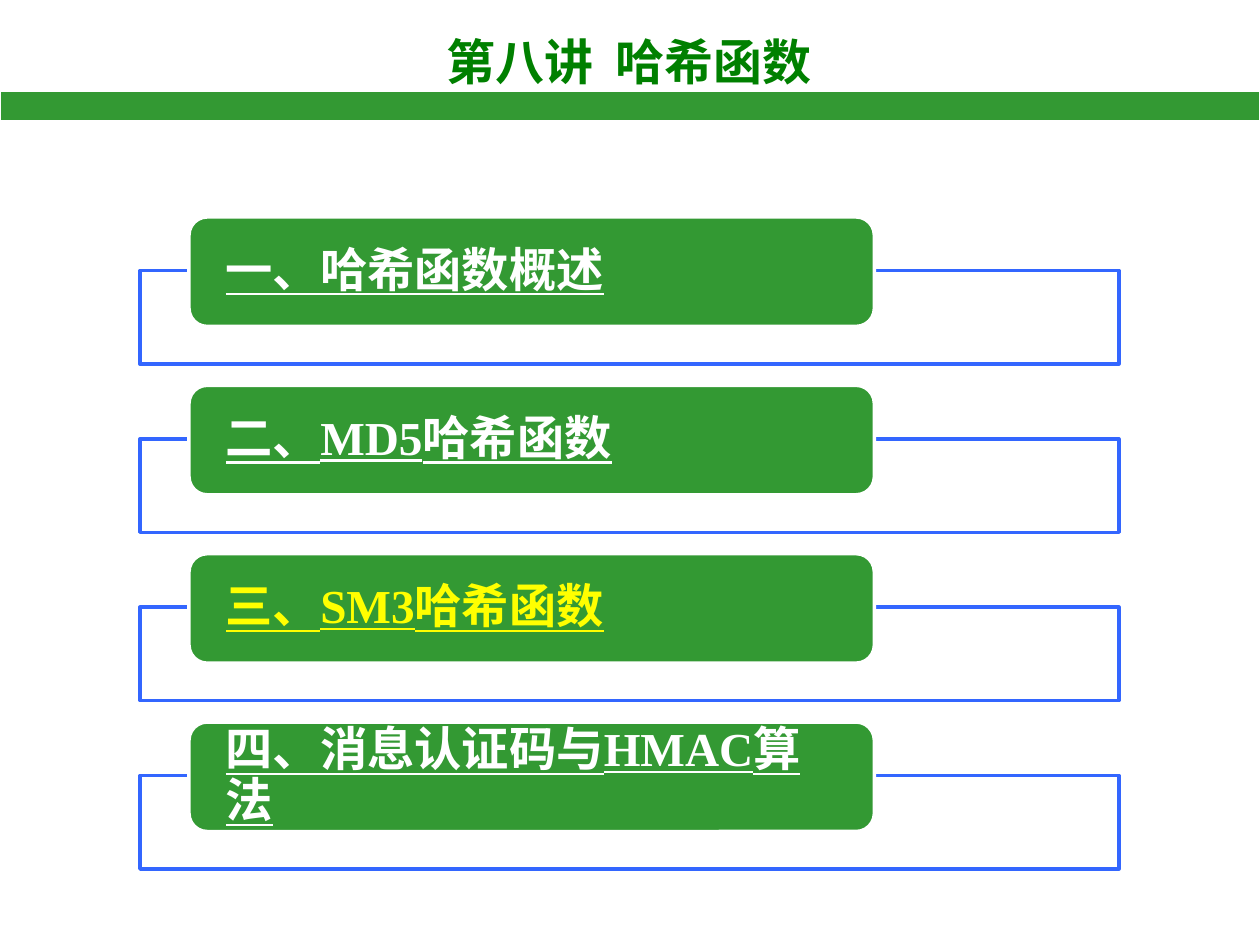
"""Build the agenda slide of a lecture on hash functions."""
from dataclasses import dataclass

from lxml import etree
from pptx import Presentation
from pptx.dml.color import RGBColor
from pptx.enum.shapes import MSO_SHAPE
from pptx.enum.text import MSO_ANCHOR, PP_ALIGN
from pptx.oxml.ns import qn
from pptx.util import Pt

RECT = MSO_SHAPE.RECTANGLE
ROUND = MSO_SHAPE.ROUNDED_RECTANGLE
MIDDLE = MSO_ANCHOR.MIDDLE
LEFT = PP_ALIGN.LEFT
CENTER = PP_ALIGN.CENTER


@dataclass(frozen=True)
class Theme:
    """Colours, fonts and type sizes."""
    green: str = "339933"
    title: str = "008000"
    blue: str = "3366FF"
    white: str = "FFFFFF"
    yellow: str = "FFFF00"
    latin: str = "Times New Roman"
    asian: str = "Noto Sans CJK SC"
    head: float = 28
    item: float = 27


@dataclass(frozen=True)
class Box:
    """A place on the slide, in points."""
    left: float
    top: float
    width: float
    height: float

    def down(self, step: float) -> "Box":
        """Return the box moved down by a step."""
        return Box(self.left, self.top + step, self.width, self.height)

    def sides(self) -> tuple:
        """Return the four lengths for a shape."""
        return Pt(self.left), Pt(self.top), Pt(self.width), Pt(self.height)


@dataclass(frozen=True)
class Topic:
    """One agenda entry."""
    text: str
    color: str


THEME = Theme()
TITLE = Box(178.5, 14.4, 362, 41)
BAND = Box(0, 52, 720, 17)
FRAME = Box(80, 154.6, 559.4, 53.4)
LABEL = Box(108, 124, 391.7, 62.6)
PITCH = 96.2
TOPICS = (
    Topic("一、哈希函数概述", THEME.white),
    Topic("二、MD5哈希函数", THEME.white),
    Topic("三、SM3哈希函数", THEME.yellow),
    Topic("四、消息认证码与HMAC算法", THEME.white),
)


def add_box(slide, kind, box: Box, fill: str, line: str, width: float):
    """Add a filled and outlined shape."""
    shape = slide.shapes.add_shape(kind, *box.sides())
    shape.shadow.inherit = False
    shape.fill.solid()
    shape.fill.fore_color.rgb = RGBColor.from_string(fill)
    shape.line.color.rgb = RGBColor.from_string(line)
    shape.line.width = Pt(width)
    return shape


def add_run(para, text: str, size: float, color: str, latin: str):
    """Add a bold run with Latin and East Asian fonts."""
    run = para.add_run()
    run.text = text
    font = run.font
    font.size, font.bold, font.name = Pt(size), True, latin
    font.color.rgb = RGBColor.from_string(color)
    asian = etree.Element(qn("a:ea"), typeface=THEME.asian)
    run._r.get_or_add_rPr().find(qn("a:latin")).addnext(asian)
    return run


def set_frame(shape, side: float, align):
    """Set the margins and alignment, and return the first paragraph."""
    frame = shape.text_frame
    frame.word_wrap = True
    frame.vertical_anchor = MIDDLE
    frame.margin_left = frame.margin_right = Pt(side)
    frame.margin_top = frame.margin_bottom = Pt(0)
    para = frame.paragraphs[0]
    para.alignment = align
    return para


def add_title(slide, text: str) -> None:
    """Fill and place the title."""
    title = slide.shapes.title
    title.left, title.top, title.width, title.height = TITLE.sides()
    para = set_frame(title, 0, CENTER)
    add_run(para, text, THEME.head, THEME.title, THEME.asian)


def add_topic(slide, topic: Topic, step: float) -> None:
    """Add a frame with its label on top."""
    add_box(slide, RECT, FRAME.down(step), THEME.white, THEME.blue, 2)
    label = add_box(slide, ROUND, LABEL.down(step), THEME.green, THEME.white, 2)
    para = set_frame(label, 18, LEFT)
    para.line_spacing = 0.9
    run = add_run(para, topic.text, THEME.item, topic.color, THEME.latin)
    run.font.underline = True


def main() -> None:
    """Build and save the slide."""
    deck = Presentation()
    deck.slide_width, deck.slide_height = Pt(720), Pt(540)
    slide = deck.slides.add_slide(deck.slide_layouts[5])
    add_title(slide, "第八讲  哈希函数")
    add_box(slide, RECT, BAND, THEME.green, THEME.white, 0.75)
    for row, topic in enumerate(TOPICS):
        add_topic(slide, topic, row * PITCH)
    deck.save("out.pptx")


if __name__ == "__main__":
    main()
